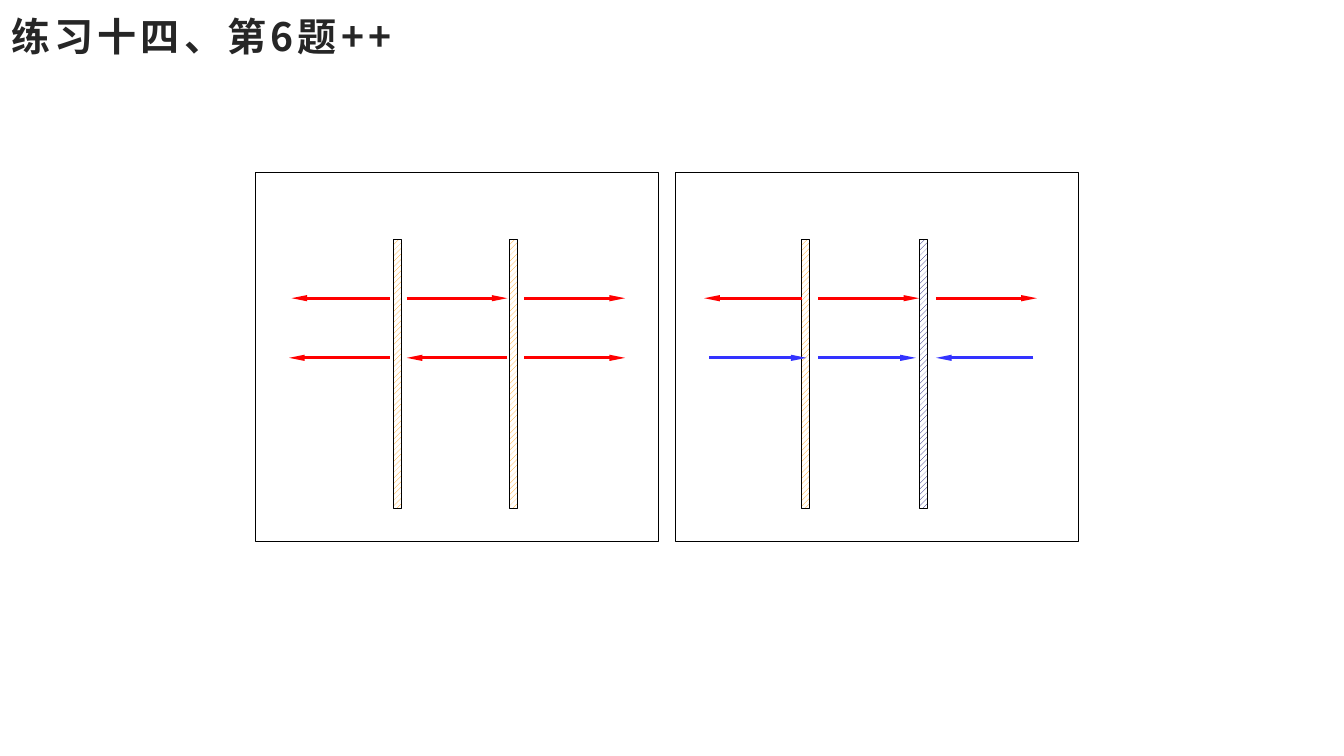
from lxml.etree import SubElement
from pptx import Presentation
from pptx.dml.color import RGBColor
from pptx.enum.dml import MSO_PATTERN
from pptx.enum.shapes import MSO_CONNECTOR, MSO_SHAPE
from pptx.enum.text import MSO_ANCHOR
from pptx.oxml.ns import qn
from pptx.util import Inches, Pt

FONT = "Noto Sans CJK SC"
RED, BLUE, ORANGE, NAVY = "FF0000", "3333FF", "FF9900", "000066"

deck = Presentation()
deck.slide_width, deck.slide_height = Inches(13.33), Inches(7.5)
page = deck.slides.add_slide(deck.slide_layouts[6])
cell = deck.slide_height / 450  # the slide is a grid of 800 columns by 450 rows


def grid(*counts):
    """Turn counts of grid cells into lengths."""
    return [round(count * cell) for count in counts]


def paint(color_format, color):
    color_format.rgb = RGBColor.from_string(color)


# Title
box = page.shapes.add_textbox(*grid(1, 1, 239.5, 46))
frame = box.text_frame
frame.word_wrap = True
frame.vertical_anchor = MSO_ANCHOR.MIDDLE
para = frame.paragraphs[0]
para.line_spacing = 0.8
span = para.add_run()
span.text = "练习十四、第6题++"
span.font.size, span.font.bold, span.font.name = Pt(27.9), True, FONT
paint(span.font.color, "262626")
properties = span.font._element
properties.set("spc", "300")
SubElement(properties, qn("a:ea"), typeface=FONT)

# Each panel: left column, plates (column, hatch), arrows (start, end, row, color)
UPPER, LOWER = 177.5, 213
panels = [
    (152, [(234, ORANGE), (303, ORANGE)],
     [(242, 302, UPPER, RED), (232, 173.5, UPPER, RED), (312, 372, UPPER, RED),
      (232, 172, LOWER, RED), (302, 242, LOWER, RED), (312, 372, LOWER, RED)]),
    (402, [(547, NAVY), (477, ORANGE)],
     [(487, 547, UPPER, RED), (477, 419, UPPER, RED), (557, 617, UPPER, RED),
      (487, 545, LOWER, BLUE), (615, 557, LOWER, BLUE), (422, 480, LOWER, BLUE)]),
]

for panel_left, plates, arrows in panels:
    outlines = []
    for column, hatch in plates:
        plate = page.shapes.add_shape(MSO_SHAPE.RECTANGLE, *grid(column, 142.8, 5, 160))
        plate.fill.patterned()
        plate.fill.pattern = MSO_PATTERN.WIDE_UPWARD_DIAGONAL
        paint(plate.fill.fore_color, hatch)
        paint(plate.fill.back_color, "FFFFFF")
        outlines.append(plate)

    for start, end, row, color in arrows:
        arrow = page.shapes.add_connector(MSO_CONNECTOR.STRAIGHT, *grid(start, row, end, row))
        paint(arrow.line.color, color)
        arrow.line.width = Pt(2.25)
        SubElement(arrow.line._get_or_add_ln(), qn("a:tailEnd"),
                   type="triangle", w="sm", len="lg")
        SubElement(arrow._element.spPr, qn("a:effectLst"))

    panel = page.shapes.add_shape(MSO_SHAPE.RECTANGLE, *grid(panel_left, 102.6, 240, 220))
    panel.fill.background()
    outlines.append(panel)

    for outline in outlines:
        outline.shadow.inherit = False
        paint(outline.line.color, "000000")
        outline.line.width = Pt(0.75)

deck.save("out.pptx")
